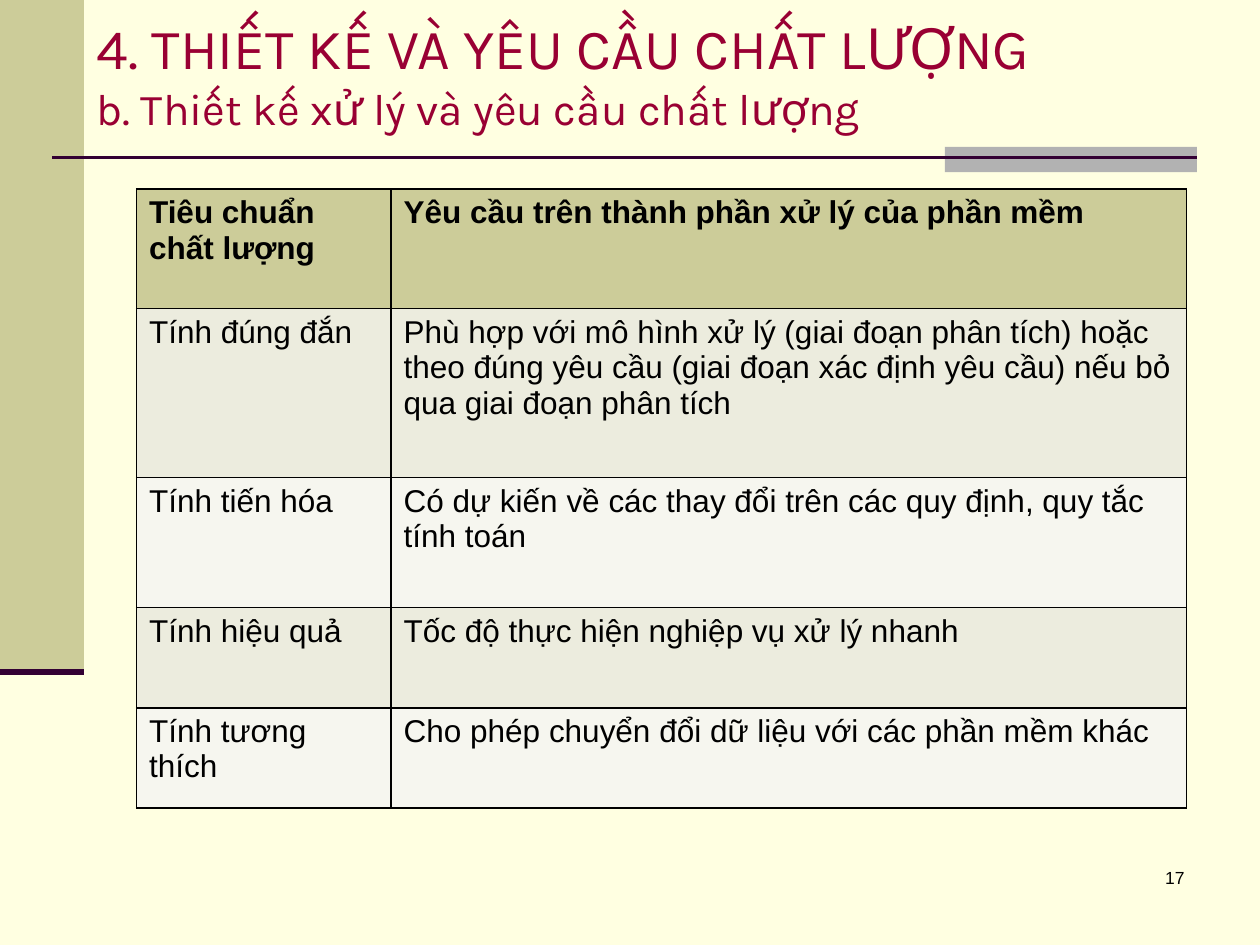
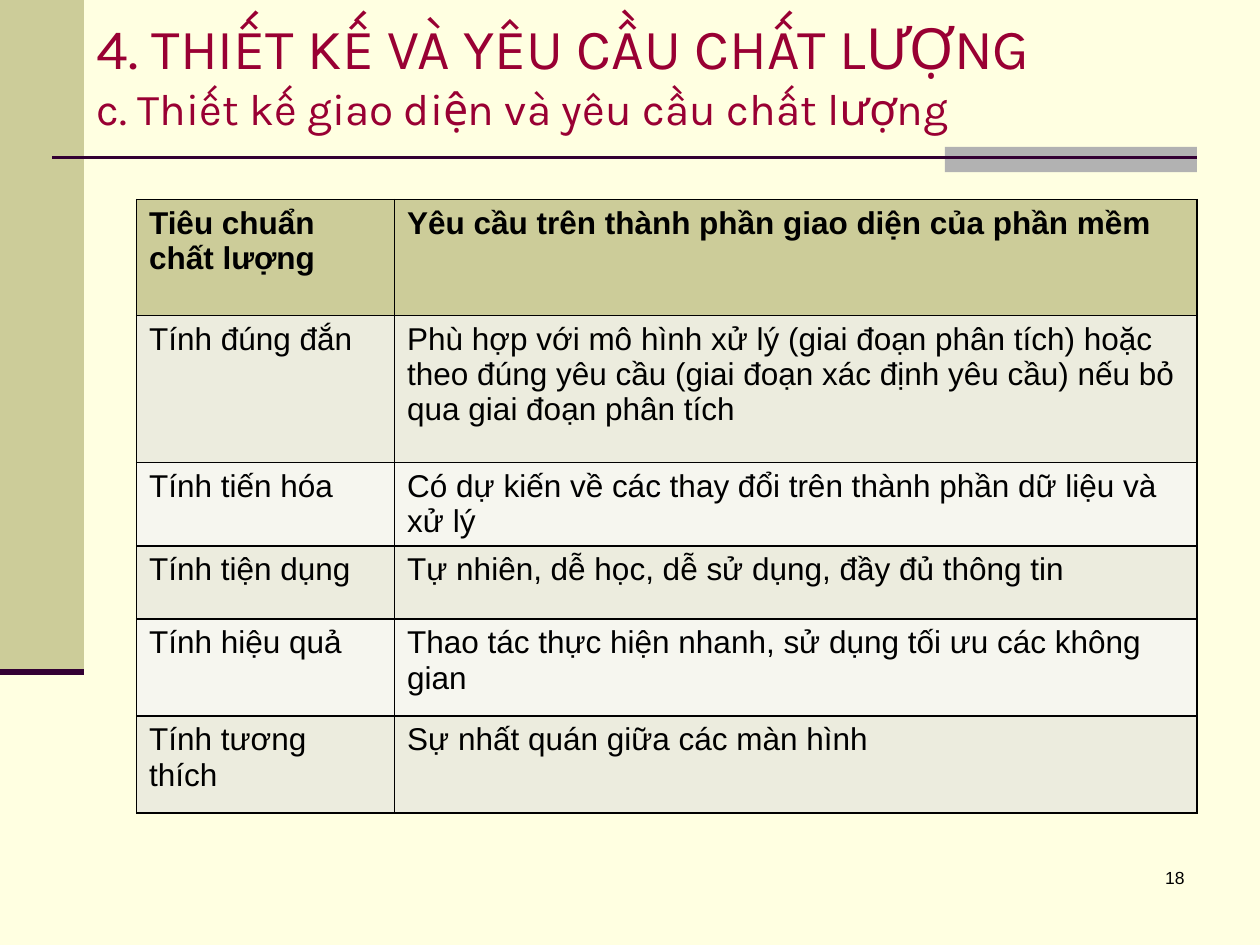
from lxml.etree import SubElement
from pptx import Presentation
from pptx.dml.color import RGBColor
from pptx.enum.shapes import MSO_CONNECTOR, MSO_SHAPE
from pptx.enum.text import MSO_ANCHOR, MSO_AUTO_SIZE, PP_ALIGN
from pptx.oxml import parse_xml
from pptx.oxml.ns import nsdecls, qn
from pptx.util import Pt

INK = {
    "page": "FFFFE1", "olive": "CCCC99", "gray": "B2B2B2", "plum": "330033",
    "title": "990033", "text": "000000", "odd": "ECECDE", "even": "F6F6EF",
}
HEAD = "4. THIẾT KẾ VÀ YÊU CẦU CHẤT LƯỢNG"
FIT = ("Phù hợp với mô hình xử lý (giai đoạn phân tích) hoặc theo đúng yêu cầu "
       "(giai đoạn xác định yêu cầu) nếu bỏ qua giai đoạn phân tích")
PAGES = [
    {
        "no": 17,
        "sub": "b. Thiết kế xử lý và yêu cầu chất lượng",
        "top": 108,
        "cols": [145.5, 454.5],
        "rows": [
            (68.4, "Tiêu chuẩn chất lượng", "Yêu cầu trên thành phần xử lý của phần mềm"),
            (96.5, "Tính đúng đắn", FIT),
            (74.2, "Tính tiến hóa",
             "Có dự kiến về các thay đổi trên các quy định, quy tắc tính toán"),
            (57.4, "Tính hiệu quả", "Tốc độ thực hiện nghiệp vụ xử lý nhanh"),
            (57.4, "Tính tương thích", "Cho phép chuyển đổi dữ liệu với các phần mềm khác"),
        ],
    },
    {
        "no": 18,
        "sub": "c. Thiết kế giao diện và yêu cầu chất lượng",
        "top": 114,
        "cols": [147.5, 458.5],
        "rows": [
            (66.2, "Tiêu chuẩn chất lượng", "Yêu cầu trên thành phần giao diện của phần mềm"),
            (84.2, "Tính đúng đắn", FIT),
            (44.6, "Tính tiến hóa",
             "Có dự kiến về các thay đổi trên thành phần dữ liệu và xử lý"),
            (41.8, "Tính tiện dụng", "Tự nhiên, dễ học, dễ sử dụng, đầy đủ thông tin"),
            (55.4, "Tính hiệu quả", "Thao tác thực hiện nhanh, sử dụng tối ưu các không gian"),
            (55.4, "Tính tương thích", "Sự nhất quán giữa các màn hình"),
        ],
    },
]


def apply(item, style):
    """Set each attribute of the item from a dict of format values."""
    for name, value in style.items():
        setattr(item, name, value)


def tint(fill, ink):
    """Give a fill one solid colour."""
    fill.solid()
    fill.fore_color.rgb = RGBColor.from_string(INK[ink])


def write(para, text, size, ink="text", face="Arial", bold=False):
    """Add a formatted run to a paragraph."""
    run = para.add_run()
    run.text = text
    apply(run.font, {"size": Pt(size), "name": face, "bold": bold})
    run.font.color.rgb = RGBColor.from_string(INK[ink])


def add_bar(slide, box, ink):
    """Draw a plain filled bar."""
    bar = slide.shapes.add_shape(MSO_SHAPE.RECTANGLE, *map(Pt, box))
    bar.shadow.inherit = False
    bar.line.fill.background()
    tint(bar.fill, ink)


def add_rule(slide, left, right, top, width):
    """Draw a level rule without a shadow."""
    rule = slide.shapes.add_connector(
        MSO_CONNECTOR.STRAIGHT, *map(Pt, (left, top, right, top)))
    rule.line.width = Pt(width)
    tint(rule.line.fill, "plum")
    SubElement(rule._element.spPr, qn("a:effectLst"))


def add_frame(slide):
    """Draw the bands and rules that all slides share."""
    add_bar(slide, (0, 0, 48, 384), "olive")
    add_bar(slide, (540, 84, 144, 14.4), "gray")
    add_rule(slide, 30, 684, 90, 1.5)
    add_rule(slide, 0, 48, 384, 3.5)


def set_title(slide, sub):
    """Place the title and write its two lines."""
    title = slide.shapes.title
    apply(title, {"left": Pt(48), "top": Pt(0), "width": Pt(636), "height": Pt(84)})
    apply(title.text_frame, {
        "word_wrap": True, "auto_size": MSO_AUTO_SIZE.NONE,
        "vertical_anchor": MSO_ANCHOR.MIDDLE})
    para = title.text_frame.paragraphs[0]
    para.alignment = PP_ALIGN.LEFT
    write(para, HEAD, 32.4, "title", "Karla")
    para.add_line_break()
    write(para, sub, 25.2, "title", "Karla")


def add_edges(cell):
    """Draw thin lines on the four sides of a cell."""
    props = cell._tc.get_or_add_tcPr()
    for spot, side in enumerate("LRTB"):
        props.insert(spot, parse_xml(
            f'<a:ln{side} {nsdecls("a")} w="{Pt(1)}"><a:solidFill>'
            f'<a:srgbClr val="{INK["text"]}"/></a:solidFill></a:ln{side}>'))


def fill_cell(cell, text, ink, bold):
    """Write and colour one table cell."""
    para = cell.text_frame.paragraphs[0]
    apply(para, {"space_before": Pt(6), "space_after": Pt(6)})
    write(para, text, 18, bold=bold)
    tint(cell.fill, ink)
    add_edges(cell)


def add_grid(slide, top, cols, rows):
    """Build the table of quality criteria."""
    tall = sum(row[0] for row in rows)
    grid = slide.shapes.add_table(
        len(rows), len(cols), Pt(78), Pt(top), Pt(sum(cols)), Pt(tall)).table
    apply(grid, {"first_row": False, "horz_banding": False})
    for col, width in zip(grid.columns, cols):
        col.width = Pt(width)
    for r, (height, *texts) in enumerate(rows):
        grid.rows[r].height = Pt(height)
        ink = "olive" if r == 0 else "odd" if r % 2 else "even"
        for c, text in enumerate(texts):
            fill_cell(grid.cell(r, c), text, ink, r == 0)


def add_folio(slide, no):
    """Write the page number at the lower right."""
    frame = slide.shapes.add_textbox(*map(Pt, (534, 492, 150, 36))).text_frame
    frame.word_wrap = True
    frame.paragraphs[0].alignment = PP_ALIGN.RIGHT
    write(frame.paragraphs[0], str(no), 10)


def main():
    """Build and save the slides."""
    deck = Presentation()
    apply(deck, {"slide_width": Pt(720), "slide_height": Pt(540)})
    tint(deck.slide_master.background.fill, "page")
    for page in PAGES:
        slide = deck.slides.add_slide(deck.slide_layouts[5])
        add_frame(slide)
        set_title(slide, page["sub"])
        add_grid(slide, page["top"], page["cols"], page["rows"])
        add_folio(slide, page["no"])
    deck.save("out.pptx")


main()
